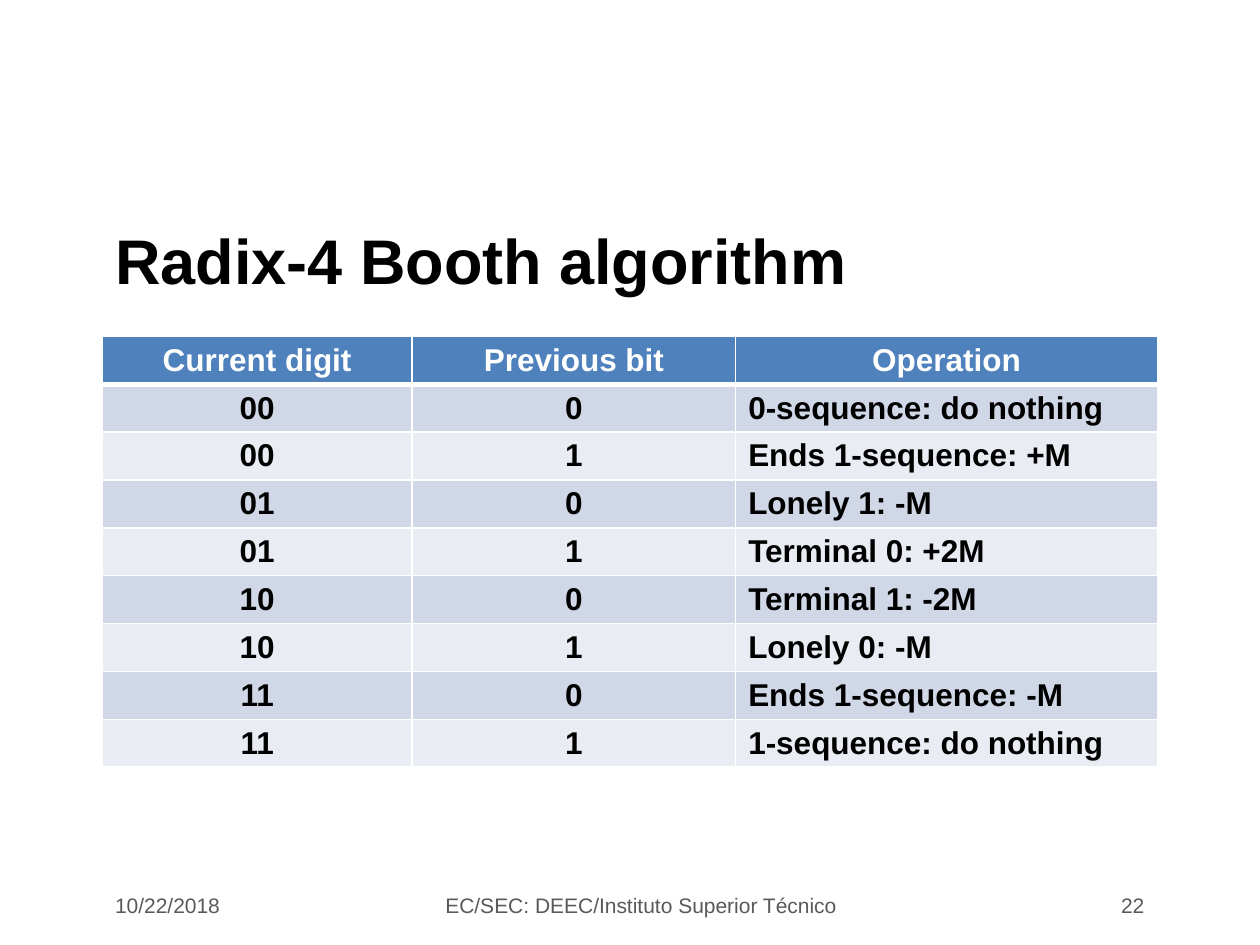
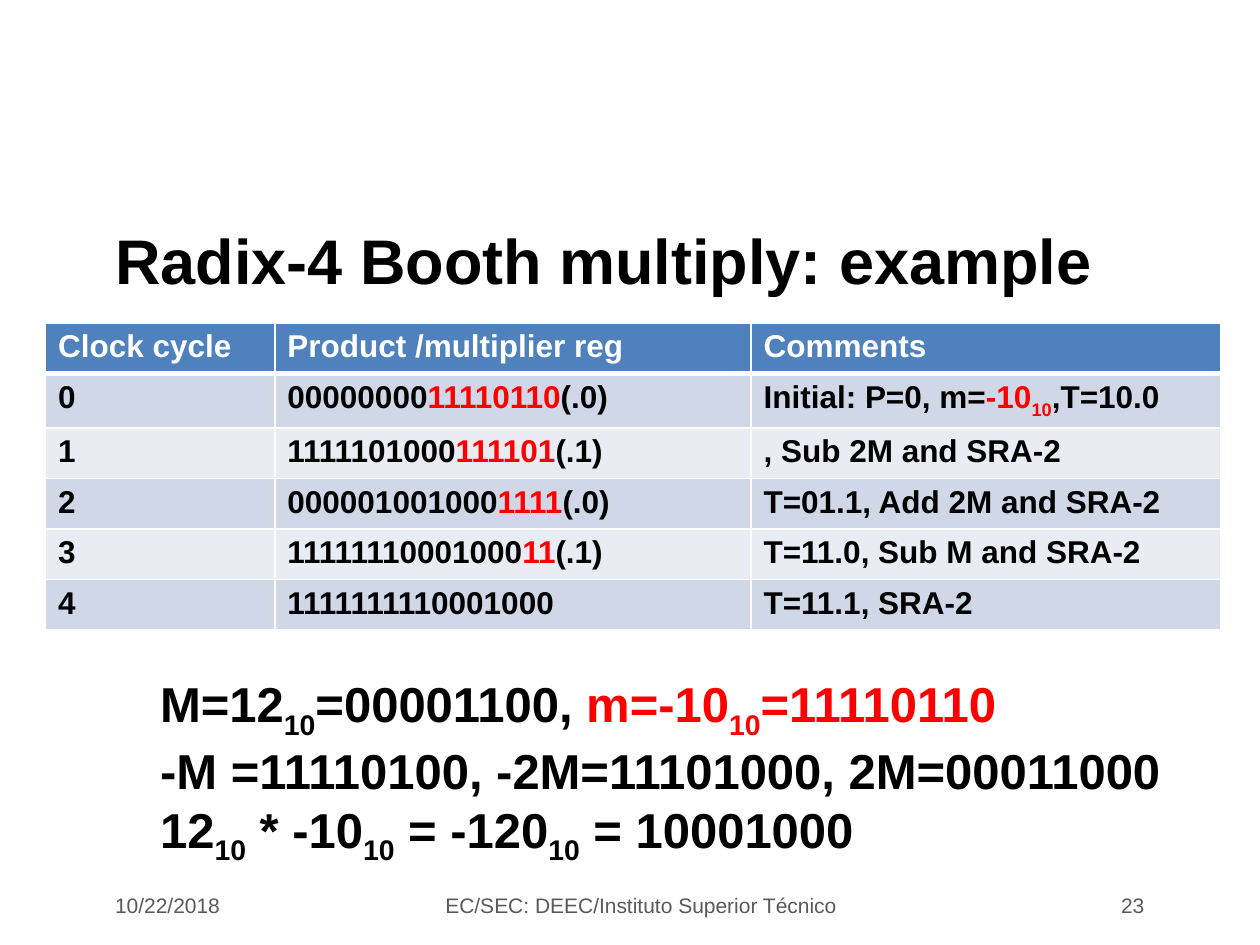
"""Builds two slides on the radix-4 Booth algorithm: its rule table and a worked example."""
from dataclasses import dataclass

import lxml.etree
import pptx
import pptx.dml.color
import pptx.enum.text
import pptx.oxml.ns
import pptx.util

Cm = pptx.util.Cm
Pt = pptx.util.Pt
Align = pptx.enum.text.PP_ALIGN
Anchor = pptx.enum.text.MSO_ANCHOR
AutoSize = pptx.enum.text.MSO_AUTO_SIZE

FONT = "Arial"
COLORS = {
    "text": "000000",
    "highlight": "FF0000",
    "footer": "595959",
    "line": "FFFFFF",
    "header": "4F81BD",
    "odd": "D0D8E7",
    "even": "E9ECF3",
}


@dataclass(frozen=True)
class Span:
    text: str
    highlighted: bool = False
    subscript: bool = False


@dataclass(frozen=True)
class Area:
    left: float
    top: float
    width: float
    height: float

    def lengths(self) -> tuple:
        return Cm(self.left), Cm(self.top), Cm(self.width), Cm(self.height)


@dataclass(frozen=True)
class FooterPart:
    text: str
    left: float
    width: float
    align: Align


@dataclass(frozen=True)
class TableLayout:
    left: float
    top: float
    height: float
    columns: tuple
    bottom_margin: float
    header_align: Align
    body_aligns: tuple


TITLE_AREA = Area(2.07, 4.03, 21.26, 2.41)
FORMULA_AREA = Area(2.98, 13.46, 21.2, 4.14)
FOOTER_TOP, FOOTER_HEIGHT = 17.81, 0.86

RULE_LAYOUT = TableLayout(2.06, 6.78, 8.69, (6.25, 6.52, 8.5), 0.06, Align.CENTER,
                          (Align.CENTER, Align.CENTER, Align.LEFT))
CYCLE_LAYOUT = TableLayout(0.92, 6.51, 6.12, (4.62, 9.6, 9.47), 0.1, Align.LEFT,
                           (Align.LEFT, Align.LEFT, Align.LEFT))

BASE = Span("10", subscript=True)
RED_BASE = Span("10", highlighted=True, subscript=True)


def red(text: str) -> Span:
    return Span(text, highlighted=True)


OPERATIONS = (
    "0-sequence: do nothing", "Ends 1-sequence: +M", "Lonely 1: -M", "Terminal 0: +2M",
    "Terminal 1: -2M", "Lonely 0: -M", "Ends 1-sequence: -M", "1-sequence: do nothing",
)
RULE_ROWS = [("Current digit", "Previous bit", "Operation")] + [
    (f"{index // 2:02b}", str(index % 2), operation)
    for index, operation in enumerate(OPERATIONS)
]
CYCLE_ROWS = [
    ("Clock cycle", "Product /multiplier reg", "Comments"),
    ("0", ("00000000", red("11110110"), "(.0)"),
     ("Initial: P=0, m=", red("-10"), RED_BASE, ",T=10.0")),
    ("1", ("1111101000", red("111101"), "(.1)"), ", Sub 2M and SRA-2"),
    ("2", ("000001001000", red("1111"), "(.0)"), "T=01.1, Add 2M and SRA-2"),
    ("3", ("11111110001000", red("11"), "(.1)"), "T=11.0, Sub M and SRA-2"),
    ("4", "1111111110001000", "T=11.1, SRA-2"),
]
FORMULAS = [
    ("M=12", BASE, "=00001100, ", red("m=-10"), RED_BASE, red("=11110110")),
    "-M =11110100, -2M=11101000, 2M=00011000",
    ("12", BASE, " * -10", BASE, " = -120", BASE, " = 10001000"),
]


def rgb(name: str) -> pptx.dml.color.RGBColor:
    return pptx.dml.color.RGBColor.from_string(COLORS[name])


def write(para, content, size: float, color: str = "text", bold: bool = True,
          align: Align = Align.LEFT) -> None:
    para.alignment = align
    para.font.name = FONT
    para.font.size = Pt(size)
    para.font.bold = bold
    para.font.color.rgb = rgb(color)
    for part in (content,) if isinstance(content, str) else content:
        span = Span(part) if isinstance(part, str) else part
        run = para.add_run()
        run.text = span.text
        if span.highlighted:
            run.font.color.rgb = rgb("highlight")
        if span.subscript:
            run._r.get_or_add_rPr().set("baseline", "-25000")


def add_border(cell, side: str, width: float) -> None:
    qn = pptx.oxml.ns.qn
    line = lxml.etree.SubElement(cell._tc.get_or_add_tcPr(), qn(f"a:ln{side}"),
                                 w=str(Pt(width)))
    fill = lxml.etree.SubElement(line, qn("a:solidFill"))
    lxml.etree.SubElement(fill, qn("a:srgbClr"), val=COLORS["line"])


def add_table(page, layout: TableLayout, rows: list) -> None:
    area = Area(layout.left, layout.top, sum(layout.columns), layout.height)
    table = page.shapes.add_table(len(rows), len(layout.columns), *area.lengths()).table
    for column, width in zip(table.columns, layout.columns):
        column.width = Cm(width)
    for row_index, row in enumerate(rows):
        is_header = row_index == 0
        band = "header" if is_header else ("even", "odd")[row_index % 2]
        for column_index, content in enumerate(row):
            cell = table.cell(row_index, column_index)
            cell.margin_bottom = Cm(layout.bottom_margin)
            for side in "LRTB":
                under_header = (row_index, side) in ((0, "B"), (1, "T"))
                add_border(cell, side, 3 if under_header else 0.96)
            cell.fill.solid()
            cell.fill.fore_color.rgb = rgb(band)
            align = layout.header_align if is_header else layout.body_aligns[column_index]
            write(cell.text_frame.paragraphs[0], content, 18,
                  "line" if is_header else "text", align=align)


def add_footer(page, number: int) -> None:
    for part in (
        FooterPart("10/22/2018", 2.07, 5.13, Align.LEFT),
        FooterPart("EC/SEC: DEEC/Instituto Superior Técnico ", 8.68, 8.61, Align.CENTER),
        FooterPart(str(number), 18.24, 5.08, Align.RIGHT),
    ):
        area = Area(part.left, FOOTER_TOP, part.width, FOOTER_HEIGHT)
        frame = page.shapes.add_textbox(*area.lengths()).text_frame
        frame.word_wrap = True
        frame.vertical_anchor = Anchor.MIDDLE
        write(frame.paragraphs[0], part.text, 12, "footer", False, part.align)


def add_page(deck, title: str, number: int):
    page = deck.slides.add_slide(deck.slide_layouts[5])
    box = page.shapes.title
    box.left, box.top, box.width, box.height = TITLE_AREA.lengths()
    box.text_frame.vertical_anchor = Anchor.MIDDLE
    box.text_frame.auto_size = AutoSize.NONE
    write(box.text_frame.paragraphs[0], title, 36)
    add_footer(page, number)
    return page


def add_formulas(page) -> None:
    frame = page.shapes.add_textbox(*FORMULA_AREA.lengths()).text_frame
    frame.word_wrap = True
    frame.auto_size = AutoSize.SHAPE_TO_FIT_TEXT
    for index, formula in enumerate(FORMULAS):
        para = frame.add_paragraph() if index else frame.paragraphs[0]
        write(para, formula, 28)


def main() -> None:
    deck = pptx.Presentation()
    deck.slide_width, deck.slide_height = Cm(25.4), Cm(19.05)
    rules = add_page(deck, "Radix-4 Booth algorithm", 22)
    add_table(rules, RULE_LAYOUT, RULE_ROWS)
    example = add_page(deck, "Radix-4 Booth multiply: example", 23)
    add_table(example, CYCLE_LAYOUT, CYCLE_ROWS)
    add_formulas(example)
    deck.save("out.pptx")


if __name__ == "__main__":
    main()
